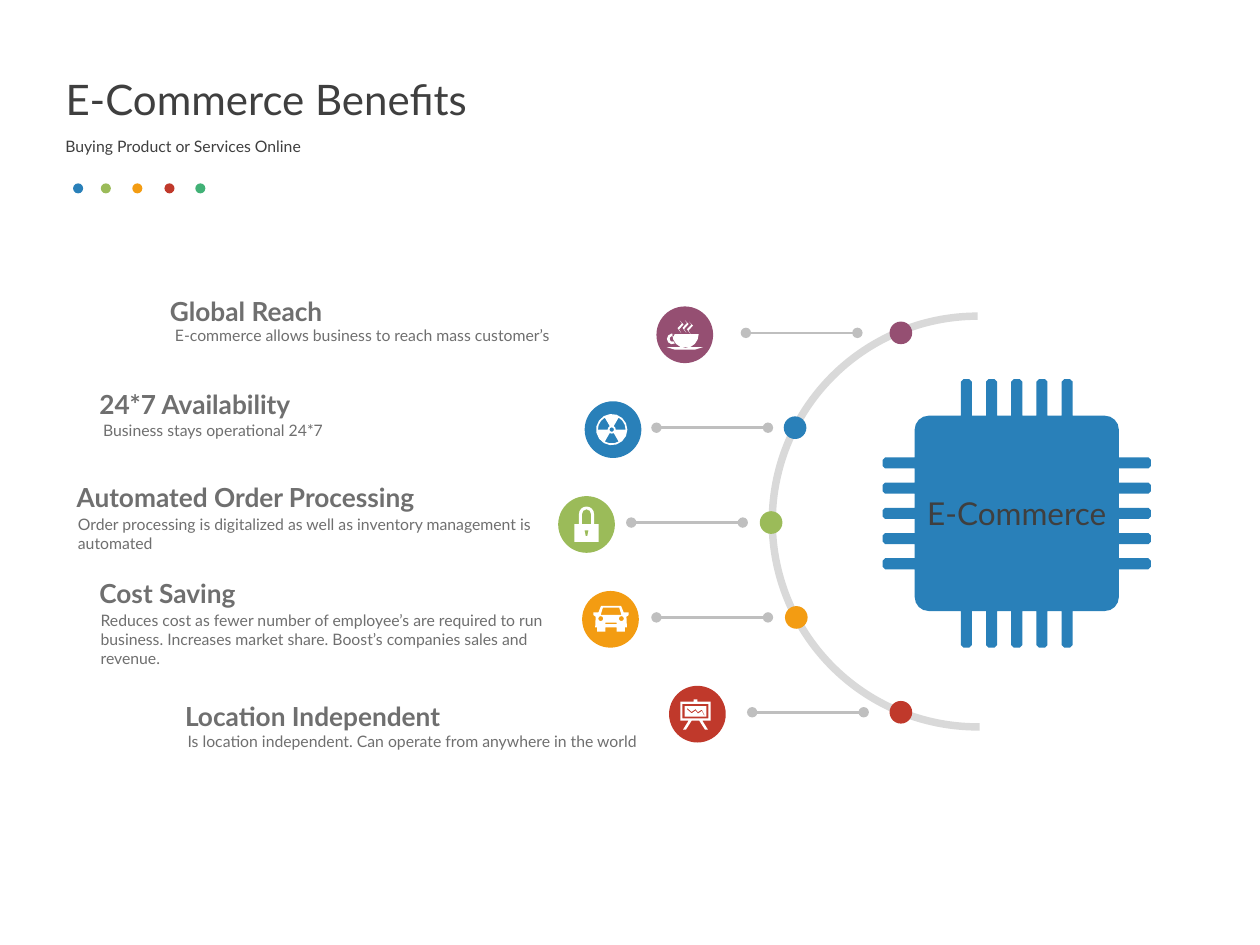
from dataclasses import dataclass
from math import ceil, cos, pi, radians, sin

from pptx import Presentation
from pptx.dml.color import RGBColor
from pptx.enum.shapes import MSO_CONNECTOR, MSO_SHAPE
from pptx.enum.text import MSO_ANCHOR, MSO_AUTO_SIZE, PP_ALIGN
from pptx.oxml import parse_xml
from pptx.oxml.ns import nsdecls
from pptx.util import Inches, Pt

BLUE = RGBColor(0x29, 0x80, 0xB9)
GREEN = RGBColor(0x9B, 0xBB, 0x59)
ORANGE = RGBColor(0xF3, 0x9C, 0x12)
RED = RGBColor(0xC0, 0x39, 0x2B)
TEAL = RGBColor(0x41, 0xB1, 0x76)
PURPLE = RGBColor(0x95, 0x4F, 0x72)
WHITE = RGBColor(0xFF, 0xFF, 0xFF)
DARK = RGBColor(0x3F, 0x3F, 0x3F)
GREY = RGBColor(0x6F, 0x6F, 0x6F)
ARC_GREY = RGBColor(0xD9, 0xD9, 0xD9)
LINE_GREY = RGBColor(0xBF, 0xBF, 0xBF)
FONT = "Lato"
COLUMNS, ROWS = 100, 75
FIRST_ROW, LAST_ROW = 26.42, 56.53

Points = list[tuple[float, float]]


@dataclass
class Benefit:
    heading: str
    detail: str
    heading_at: tuple[float, float]
    detail_at: tuple[float, float]
    disk: float
    link: float
    knob: float
    color: RGBColor
    icon: list[Points]
    icon_at: tuple[float, float]


def grid(cells: float) -> int:
    return Inches(cells / 10)


def curve(x: float, y: float, rx: float, ry: float, start: float = 0, stop: float = 360) -> Points:
    steps = ceil(abs(stop - start) / (45 if rx < 0.5 else 24))
    angles = [radians(start + (stop - start) * i / steps) for i in range(steps + 1)]
    return [(x + rx * cos(a), y + ry * sin(a)) for a in angles]


def bar(left: float, top: float, right: float, bottom: float) -> Points:
    return [(left, top), (right, top), (right, bottom), (left, bottom)]


def mirror(points: Points) -> Points:
    return [(-x, y) for x, y in reversed(points)]


def blade(start: float) -> Points:
    return curve(0, 0, 1.1, 1.1, start, start + 60) + curve(0, 0, 0.32, 0.32, start + 60, start)


def steam(x: float, y: float) -> Points:
    wisp = [(0, 0), (0.18, 0.22), (-0.18, 0.6), (0.12, 1), (-0.06, 0.7), (0.3, 0.3)]
    return [(x + dx, y + dy) for dx, dy in wisp]


def chip_outline() -> Points:
    half_width, half_height, reach, pin, tip, corner = 8.1, 7.75, 10.65, 0.44, 0.2, 1.1
    outline: Points = []
    for side in range(4):
        along, out = (half_width, half_height) if side % 2 == 0 else (half_height, half_width)
        local: Points = []
        for i in range(5):
            left, right = 2 * (i - 2) - pin, 2 * (i - 2) + pin
            local += [(left, out), (left, reach - tip), (left + tip, reach),
                      (right - tip, reach), (right, reach - tip), (right, out)]
        local += curve(along - corner, out - corner, corner, corner, 90, 0)
        c, s = cos(side * pi / 2), sin(side * pi / 2)
        outline += [(t * c + o * s, t * s - o * c) for t, o in local]
    return outline


CUP = [curve(0.05, -0.08, 1.05, 1.1, 0, 180),
       curve(-1, 0.3, 0.42, 0.42, 60, 300) + curve(-1, 0.3, 0.2, 0.22, 300, 60),
       [(-1.45, 0.95), (1.45, 0.95), (0.8, 1.15), (-0.8, 1.15)],
       steam(-0.4, -1.15), steam(0, -1.18), steam(0.35, -1.06)]
RADIATION = [curve(0, 0, 1.24, 1.24), blade(60), blade(180), blade(300), curve(0, 0, 0.18, 0.18)]
LOCK = [bar(-0.97, 0, 0.97, 1.4),
        [(-0.6, 0)] + curve(0, -0.8, 0.6, 0.6, 180, 360) + [(0.6, 0), (0.36, 0)]
        + curve(0, -0.8, 0.36, 0.38, 360, 180) + [(-0.36, 0)],
        [(-0.16, 0.5), (0.16, 0.5), (0.06, 0.95), (-0.06, 0.95)]]
CAR_HALF = [(0.8, -1), (1, -0.5), (1.4, -0.5), (1.4, -0.28), (1.22, -0.15),
            (1.26, 0.7), (1.1, 0.7), (1.1, 1.03), (0.45, 1.03), (0.45, 0.7)]
CAR = [CAR_HALF + mirror(CAR_HALF), [(-0.65, -0.87), (0.65, -0.87), (0.82, -0.3), (-0.82, -0.3)],
       curve(0.82, 0, 0.2, 0.2), curve(-0.82, 0, 0.2, 0.2), bar(-0.45, 0.32, 0.45, 0.45)]
LEG = [(0.3, 0.5), (0.55, 0.5), (0.98, 1.2), (0.75, 1.2)]
TREND = [(-0.65, -0.5), (-0.3, -0.2), (0, -0.42), (0.2, -0.18), (0.5, -0.38), (0.7, 0)]
BOARD = [bar(-1.2, -1, 1.2, 0.5), bar(-1.03, -0.83, 1.03, 0.33), bar(-0.86, -0.66, 0.86, 0.18),
         TREND + [(x, y + 0.12) for x, y in reversed(TREND)],
         LEG, mirror(LEG), bar(-0.15, -1.2, 0.15, -1)]

BENEFITS = [
    Benefit("Global Reach", "E-commerce allows business to reach mass customer’s",
            (12.5, 22.9), (12.9, 25.4), 54.35, 59.2, 71.5, PURPLE, CUP, (54.35, 26.6)),
    Benefit("24*7 Availability", "Business stays operational 24*7",
            (6.9, 30.3), (7.2, 32.9), 48.65, 52.1, 63.1, BLUE, RADIATION, (48.55, 34.1)),
    Benefit("Automated Order Processing",
            "Order processing is digitalized as well as inventory management is automated",
            (5.1, 37.7), (5.2, 40.4), 46.55, 50.1, 61.2, GREEN, LOCK, (46.55, 41.6)),
    Benefit("Cost Saving",
            "Reduces cost as fewer number of employee’s are required to run business. "
            "Increases market share. Boost’s companies sales and revenue.",
            (6.9, 45.3), (7, 48), 48.45, 52.1, 63.2, ORANGE, CAR, (48.5, 49.1)),
    Benefit("Location Independent",
            "Is location independent. Can operate from anywhere in the world",
            (13.7, 55.1), (13.9, 57.6), 55.35, 59.7, 71.5, RED, BOARD, (55.2, 56.7)),
]


def paint(shape, color: RGBColor) -> None:
    shape.shadow.inherit = False
    shape.fill.solid()
    shape.fill.fore_color.rgb = color
    shape.line.fill.background()


def add_disk(page, x: float, y: float, size: float, color: RGBColor) -> None:
    disk = page.shapes.add_shape(MSO_SHAPE.OVAL, grid(x - size / 2), grid(y - size / 2),
                                 grid(size), grid(size))
    paint(disk, color)


def add_outline(page, contours: list[Points], x: float, y: float, color: RGBColor):
    placed = [[(grid(x + dx), grid(y + dy)) for dx, dy in points] for points in contours]
    builder = page.shapes.build_freeform(*placed[0][0])
    builder.add_line_segments(placed[0][1:], close=True)
    for points in placed[1:]:
        builder.move_to(*points[0])
        builder.add_line_segments(points[1:], close=True)
    shape = builder.convert_to_shape()
    paint(shape, color)
    return shape


def write(frame, text: str, size: float, color: RGBColor, bold: bool = False):
    frame.word_wrap = True
    frame.auto_size = MSO_AUTO_SIZE.NONE
    para = frame.paragraphs[0]
    para.text = text
    para.font.name, para.font.size, para.font.bold = FONT, Pt(size), bold
    para.font.color.rgb = color
    return para


def add_text(page, at: tuple[float, float], width: float, height: float, text: str,
             size: float, color: RGBColor, bold: bool = False):
    box = page.shapes.add_textbox(grid(at[0]), grid(at[1]), grid(width), grid(height))
    return write(box.text_frame, text, size, color, bold)


def add_link(page, x: float, y: float) -> None:
    link = page.shapes.add_connector(MSO_CONNECTOR.STRAIGHT, grid(x + 8.85), grid(y), grid(x), grid(y))
    link.line.color.rgb = LINE_GREY
    link.line.width = Pt(1.5)
    outline = link.line._get_or_add_ln()
    for end in ("headEnd", "tailEnd"):
        outline.append(parse_xml(f'<a:{end} {nsdecls("a")} type="oval"/>'))
    link._element.spPr.append(parse_xml(f'<a:effectLst {nsdecls("a")}/>'))


def add_benefit(page, benefit: Benefit, y: float) -> None:
    add_text(page, benefit.detail_at, 37.9, 4, benefit.detail, 9, GREY)
    add_text(page, benefit.heading_at, 37.9, 3.5, benefit.heading, 15, GREY, True)
    add_disk(page, benefit.disk, y + 0.15, 4.5, benefit.color)
    add_disk(page, benefit.knob, y, 1.8, benefit.color)
    add_link(page, benefit.link, y)
    add_outline(page, benefit.icon, *benefit.icon_at, WHITE)


def add_header(page) -> None:
    title = page.shapes.title
    title.left, title.top, title.width, title.height = map(grid, (4.2, 5.1, 91.5, 5.3))
    title.text_frame.vertical_anchor = MSO_ANCHOR.BOTTOM
    para = write(title.text_frame, "E-Commerce Benefits", 24, DARK)
    para.alignment, para.line_spacing = PP_ALIGN.LEFT, 0.9
    subtitle = add_text(page, (4.2, 10.5), 91.5, 3.9, "Buying Product or Services Online", 9, DARK)
    subtitle.line_spacing = 0.9
    for x, color in zip((6.2, 8.4, 10.9, 13.45, 15.9), (BLUE, GREEN, ORANGE, RED, TEAL)):
        add_disk(page, x, 14.95, 0.8, color)


def add_chip(page) -> None:
    arc = page.shapes.add_shape(MSO_SHAPE.ARC, grid(61.3), grid(25.1), grid(32.6), grid(32.6))
    arc.adjustments[0], arc.adjustments[1] = 53.67, 162
    arc.shadow.inherit = False
    arc.fill.background()
    arc.line.color.rgb = ARC_GREY
    arc.line.width = Pt(4.25)
    chip = add_outline(page, [chip_outline()], 80.7, 40.75, BLUE)
    chip.text_frame.vertical_anchor = MSO_ANCHOR.MIDDLE
    write(chip.text_frame, "E-Commerce", 18, DARK).alignment = PP_ALIGN.CENTER


def main() -> None:
    deck = Presentation()
    deck.slide_width, deck.slide_height = grid(COLUMNS), grid(ROWS)
    page = deck.slides.add_slide(deck.slide_layouts[5])
    add_header(page)
    add_chip(page)
    pitch = (LAST_ROW - FIRST_ROW) / (len(BENEFITS) - 1)
    for row, benefit in enumerate(BENEFITS):
        add_benefit(page, benefit, FIRST_ROW + row * pitch)
    deck.save("out.pptx")


if __name__ == "__main__":
    main()
